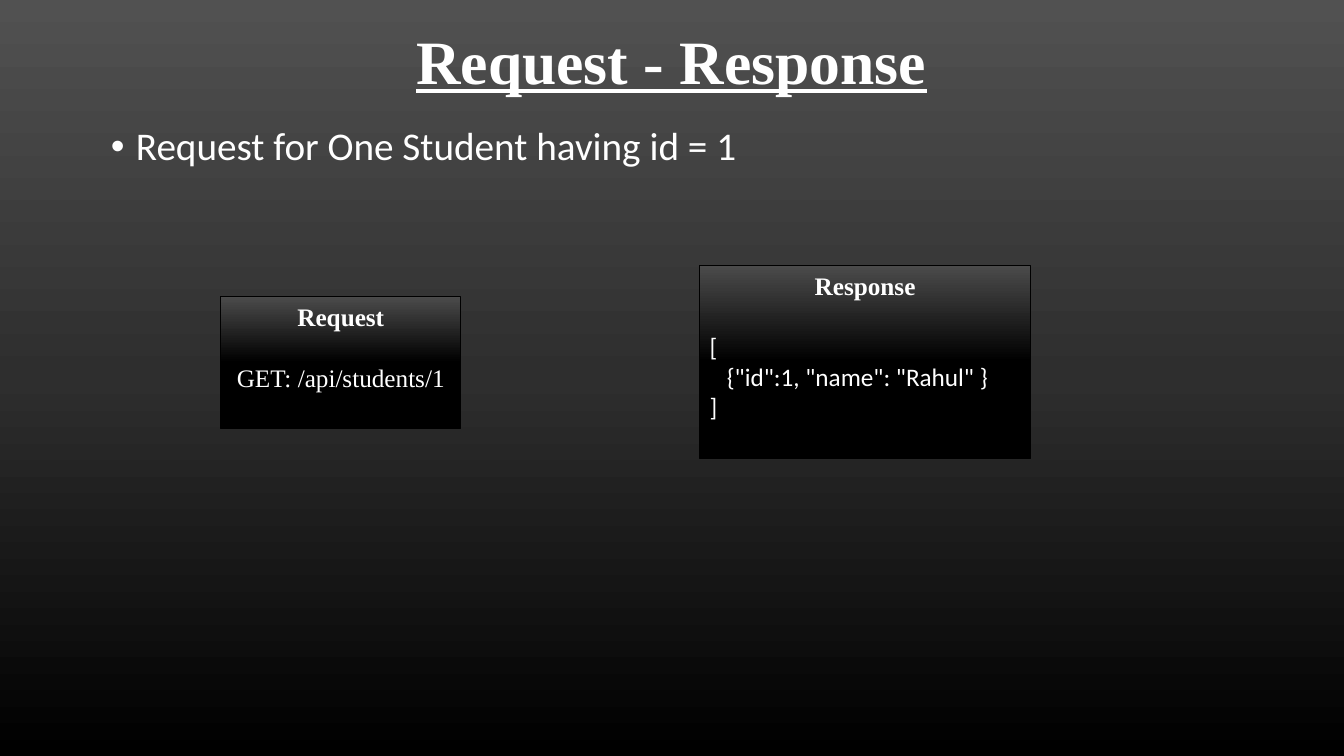
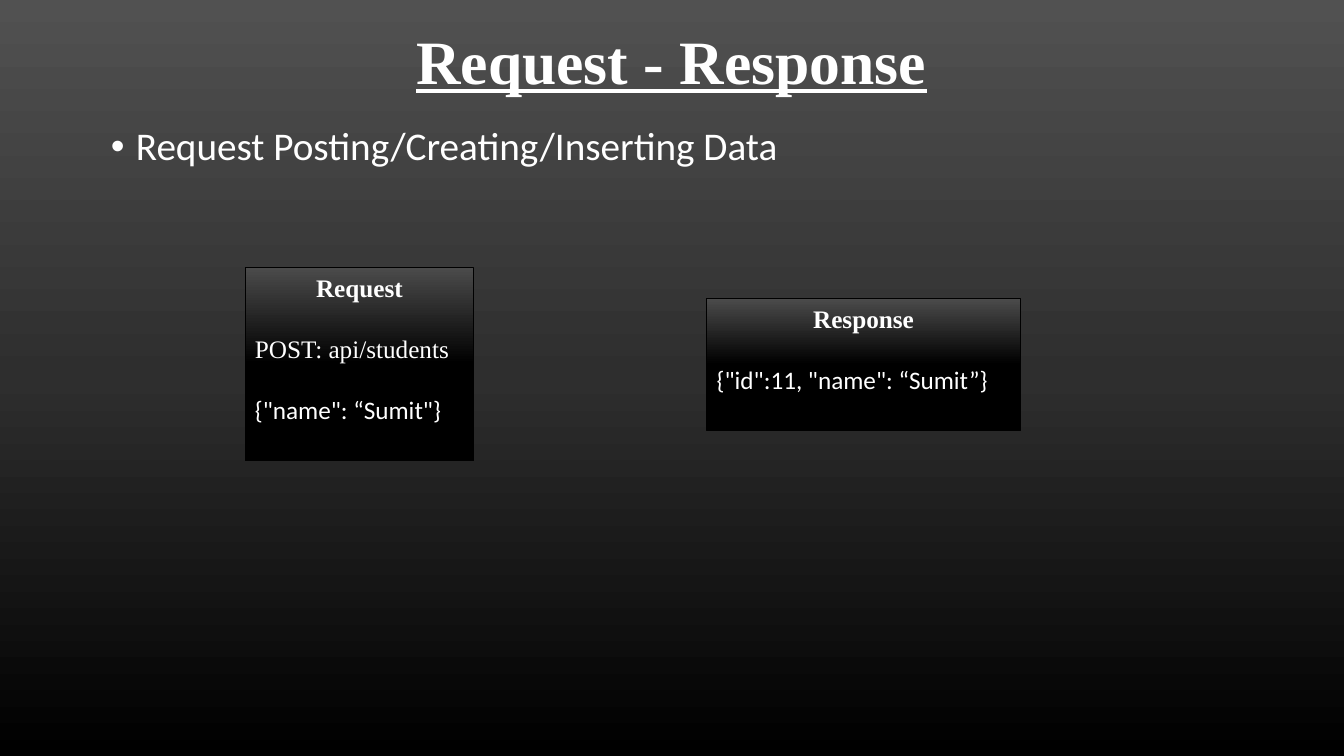
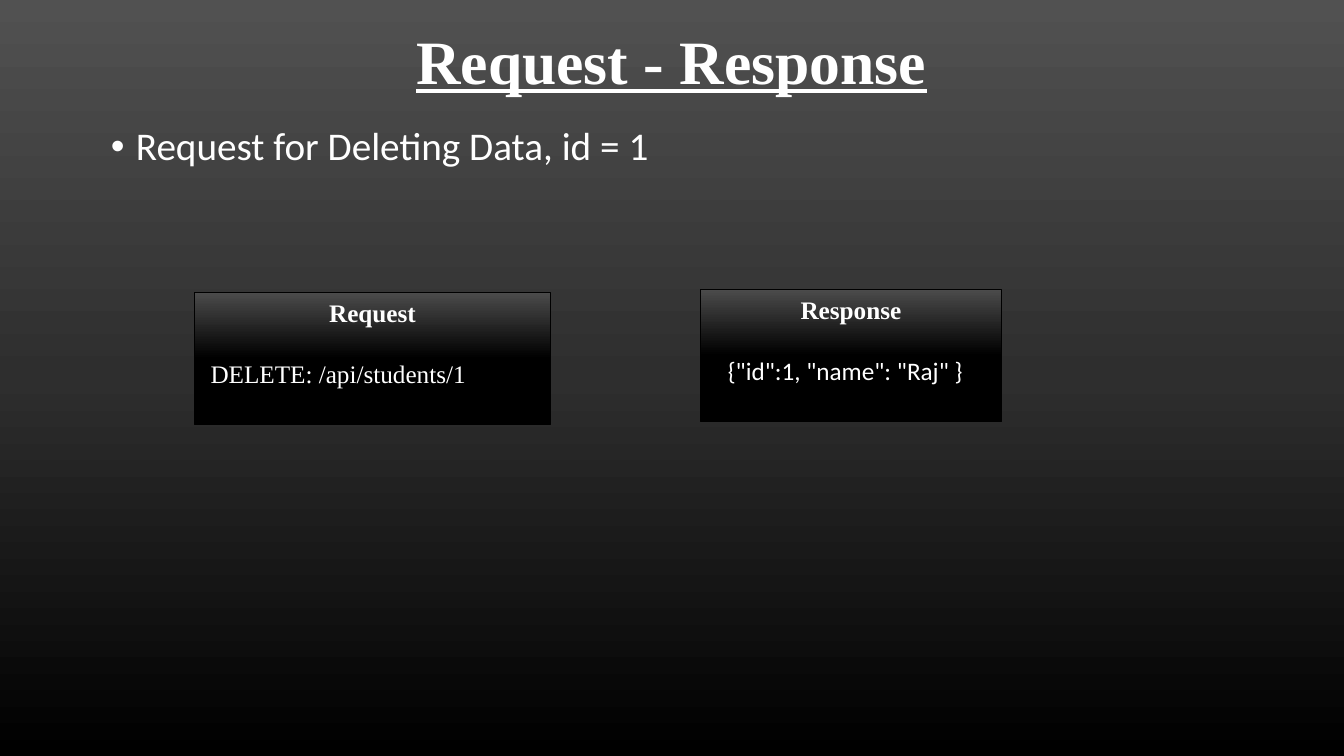
import lxml.etree
import pptx
import pptx.dml.color
import pptx.enum.shapes
import pptx.enum.text
import pptx.oxml.ns
import pptx.util

Inches = pptx.util.Inches
Pt = pptx.util.Pt
qn = pptx.oxml.ns.qn
Align = pptx.enum.text.PP_ALIGN
Anchor = pptx.enum.text.MSO_ANCHOR

SERIF = "Times New Roman"
SANS = "Calibri"
WHITE = "FFFFFF"
BLACK = "000000"
BACKGROUND_STOPS = [(0, "515151"), (50, "2E2E2E"), (100, BLACK)]
PANEL_STOPS = [(0, "4B4B4B"), (50, BLACK), (100, BLACK)]
TITLE = "Request - Response"
TITLE_BOX = (1, 0.11, 11.32, 1.06)
BLANK_LINE = 22
SERIF_SPACE = 0.06
CODE_INDENT = 0.17

# Each panel line: text, font, left indent in inches, space before in points.
SLIDES = [
    {
        "topic": "Request for One Student having id = 1",
        "topic_box": (1, 1.21, 11.32, 4.44),
        "panels": [
            ("Request", (2.19, 2.94, 2.38, 1.31),
             [("GET: /api/students/1", SERIF, SERIF_SPACE, BLANK_LINE)]),
            ("Response", (6.94, 2.63, 3.28, 1.92),
             [("[", SANS, 0, BLANK_LINE),
              ("{\"id\":1, \"name\": \"Rahul\" }", SANS, CODE_INDENT, 0),
              ("]", SANS, 0, 0)]),
        ],
    },
    {
        "topic": "Request Posting/Creating/Inserting Data",
        "topic_box": (1, 1.21, 11.32, 4.44),
        "panels": [
            ("Request", (2.43, 2.65, 2.27, 1.92),
             [("POST: api/students", SERIF, 0, BLANK_LINE),
              ("{\"name\": “Sumit\"}", SANS, 0, BLANK_LINE)]),
            ("Response", (7.01, 2.96, 3.11, 1.31),
             [("{\"id\":11, \"name\": “Sumit”}", SANS, 0, BLANK_LINE)]),
        ],
    },
    {
        "topic": "Request for Deleting Data, id = 1",
        "topic_box": (1, 1.21, 11.32, 0.97),
        "panels": [
            ("Request", (1.93, 2.9, 3.53, 1.31),
             [("DELETE: /api/students/1", SERIF, SERIF_SPACE, BLANK_LINE)]),
            ("Response", (6.95, 2.87, 2.98, 1.31),
             [("{\"id\":1, \"name\": \"Raj\" }", SANS, CODE_INDENT, BLANK_LINE)]),
        ],
    },
]


def color(hex_string):
    return pptx.dml.color.RGBColor.from_string(hex_string)


def fill_gradient(fill, element, stops):
    fill.gradient()
    fill.gradient_angle = 270
    stop_list = element.find(".//" + qn("a:gsLst"))
    for stop in list(stop_list):
        stop_list.remove(stop)
    for position, hex_string in stops:
        stop = lxml.etree.SubElement(stop_list, qn("a:gs"), pos=str(position * 1000))
        lxml.etree.SubElement(stop, qn("a:srgbClr"), val=hex_string)


def write(paragraph, text, font_name, size, bold=False, underline=False):
    paragraph.text = text
    for run in paragraph.runs:
        run.font.name = font_name
        run.font.size = Pt(size)
        run.font.bold = bold
        run.font.underline = underline
        run.font.color.rgb = color(WHITE)


def indent(paragraph, left, first_line=0):
    properties = paragraph._p.get_or_add_pPr()
    properties.set("marL", str(Inches(left)))
    properties.set("indent", str(Inches(first_line)))
    return properties


def add_text_box(slide, box, anchor):
    text_frame = slide.shapes.add_textbox(*map(Inches, box)).text_frame
    text_frame.word_wrap = True
    text_frame.vertical_anchor = anchor
    paragraph = text_frame.paragraphs[0]
    paragraph.line_spacing = 0.9
    return paragraph


def add_title(slide, box):
    paragraph = add_text_box(slide, box, Anchor.MIDDLE)
    paragraph.alignment = Align.CENTER
    write(paragraph, TITLE, SERIF, 44, bold=True, underline=True)


def add_topic(slide, box, text):
    paragraph = add_text_box(slide, box, Anchor.TOP)
    properties = indent(paragraph, 0.25, -0.25)
    lxml.etree.SubElement(properties, qn("a:buFont"), typeface="Arial")
    lxml.etree.SubElement(properties, qn("a:buChar"), char="•")
    write(paragraph, text, SANS, 28)


def add_panel(slide, box, heading, lines):
    rectangle = pptx.enum.shapes.MSO_SHAPE.RECTANGLE
    panel = slide.shapes.add_shape(rectangle, *map(Inches, box))
    panel.shadow.inherit = False
    fill_gradient(panel.fill, panel.element, PANEL_STOPS)
    panel.line.color.rgb = color(BLACK)
    panel.line.width = Pt(0.5)
    text_frame = panel.text_frame
    text_frame.word_wrap = True
    text_frame.vertical_anchor = Anchor.TOP
    paragraph = text_frame.paragraphs[0]
    paragraph.alignment = Align.CENTER
    write(paragraph, heading, SERIF, 18, bold=True)
    for text, font_name, left, space_before in lines:
        paragraph = text_frame.add_paragraph()
        paragraph.alignment = Align.LEFT
        paragraph.space_before = Pt(space_before)
        indent(paragraph, left)
        write(paragraph, text, font_name, 18)


def add_exchange_slide(presentation, topic, topic_box, panels):
    slide = presentation.slides.add_slide(presentation.slide_layouts[6])
    add_title(slide, TITLE_BOX)
    add_topic(slide, topic_box, topic)
    for heading, box, lines in panels:
        add_panel(slide, box, heading, lines)


def main():
    presentation = pptx.Presentation()
    presentation.slide_width = Inches(13.33)
    presentation.slide_height = Inches(7.5)
    master = presentation.slide_master
    fill_gradient(master.background.fill, master.element, BACKGROUND_STOPS)
    for content in SLIDES:
        add_exchange_slide(presentation, **content)
    presentation.save("out.pptx")


if __name__ == "__main__":
    main()
